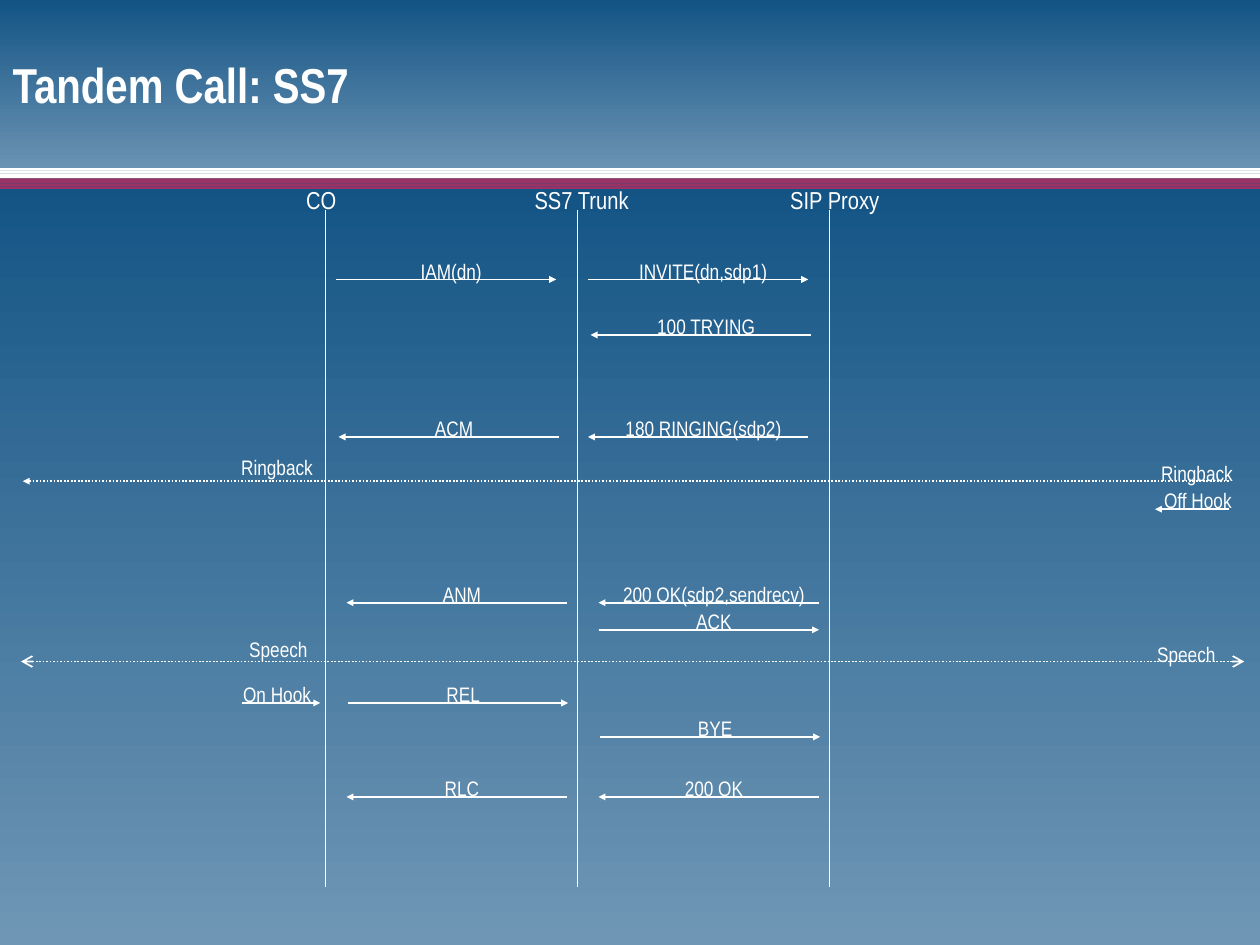
from dataclasses import dataclass

from lxml import etree
from pptx import Presentation
from pptx.dml.color import RGBColor
from pptx.enum.dml import MSO_LINE
from pptx.enum.shapes import MSO_CONNECTOR, MSO_SHAPE
from pptx.enum.text import MSO_ANCHOR, MSO_AUTO_SIZE, PP_ALIGN
from pptx.oxml.ns import qn
from pptx.util import Pt

STRAIGHT = MSO_CONNECTOR.STRAIGHT
RECTANGLE = MSO_SHAPE.RECTANGLE
DOTTED = MSO_LINE.ROUND_DOT
MIDDLE = MSO_ANCHOR.MIDDLE
CENTER, LEFT = PP_ALIGN.CENTER, PP_ALIGN.LEFT
FIT_SHAPE, FIXED = MSO_AUTO_SIZE.SHAPE_TO_FIT_TEXT, MSO_AUTO_SIZE.NONE

SLIDE_WIDTH, SLIDE_HEIGHT = 720, 540
BANNER_HEIGHT = 102
STRIPE_HEIGHT = 1.5
STRIPES_PER_COLOR = 4
LABEL_HEIGHT = 21.6
MESSAGE_WIDTH = 144
ARROW_INSET, ARROW_DROP, ARROW_LENGTH = 6, 15.7, 126
HEAD_SIZES = {"triangle": "sm", "arrow": "med"}


@dataclass(frozen=True)
class Theme:
    """Colours, font and type sizes of the slide."""
    background: RGBColor = RGBColor.from_string("969696")
    gradient_top: RGBColor = RGBColor.from_string("135485")
    gradient_bottom: RGBColor = RGBColor.from_string("6F96B5")
    accent: RGBColor = RGBColor.from_string("993366")
    foreground: RGBColor = RGBColor.from_string("FFFFFF")
    font: str = "Arial Narrow"
    title_size: int = 28
    heading_size: int = 14
    label_size: int = 12


class CallFlow:
    """Draws the elements of a call flow on one slide."""

    def __init__(self, slide, theme):
        self.slide = slide
        self.theme = theme
        fill = slide.background.fill
        fill.solid()
        fill.fore_color.rgb = theme.background

    def style_text(self, paragraph, size, bold=False, alignment=CENTER):
        paragraph.alignment = alignment
        font = paragraph.font
        font.name = self.theme.font
        font.size = Pt(size)
        font.bold = bold
        font.color.rgb = self.theme.foreground

    def title(self, text, left, top, width, height):
        shape = self.slide.shapes.title
        shape.left, shape.top = Pt(left), Pt(top)
        shape.width, shape.height = Pt(width), Pt(height)
        frame = shape.text_frame
        frame.text = text
        frame.auto_size = FIXED
        frame.vertical_anchor = MIDDLE
        self.style_text(frame.paragraphs[0], self.theme.title_size, True, LEFT)
        shape.element.getparent().append(shape.element)

    def band(self, top, height, color=None):
        shape = self.slide.shapes.add_shape(RECTANGLE, 0, Pt(top), Pt(SLIDE_WIDTH), Pt(height))
        shape.shadow.inherit = False
        shape.line.fill.background()
        if color is not None:
            shape.fill.solid()
            shape.fill.fore_color.rgb = color
            return
        shape.fill.gradient()
        shape.fill.gradient_angle = 270
        first, last = shape.fill.gradient_stops
        first.position, last.position = 0, 1
        first.color.rgb = self.theme.gradient_top
        last.color.rgb = self.theme.gradient_bottom

    def label(self, text, left, top, width, height=LABEL_HEIGHT, size=None, wrap=False):
        box = self.slide.shapes.add_textbox(Pt(left), Pt(top), Pt(width), Pt(height))
        frame = box.text_frame
        frame.text = text
        frame.word_wrap = wrap
        frame.auto_size = FIT_SHAPE
        frame.vertical_anchor = MIDDLE
        self.style_text(frame.paragraphs[0], size or self.theme.label_size)

    def line(self, start_x, start_y, end_x, end_y, head=None, tail=None, dash=None):
        connector = self.slide.shapes.add_connector(
            STRAIGHT, Pt(start_x), Pt(start_y), Pt(end_x), Pt(end_y))
        connector.line.color.rgb = self.theme.foreground
        connector.line.width = Pt(1)
        if dash is not None:
            connector.line.dash_style = dash
        properties = connector.element.spPr
        outline = properties.find(qn("a:ln"))
        for tag, kind in (("a:headEnd", head), ("a:tailEnd", tail)):
            if kind:
                size = HEAD_SIZES[kind]
                etree.SubElement(outline, qn(tag), type=kind, w=size, len=size)
        etree.SubElement(properties, qn("a:effectLst"))

    def message(self, text, left, top, rightward):
        self.label(text, left, top, MESSAGE_WIDTH, wrap=True)
        arrow_left, arrow_y = left + ARROW_INSET, top + ARROW_DROP
        end = {"tail" if rightward else "head": "triangle"}
        self.line(arrow_left, arrow_y, arrow_left + ARROW_LENGTH, arrow_y, **end)


PARTICIPANTS = [("CO", 183.6, 34, 186), ("SS7 Trunk", 332.4, 72, 330),
                ("SIP Proxy", 477, 70, 474)]

MESSAGES = [
    ("IAM(dn)", 185.8, 144, True),
    ("INVITE(dn,sdp1)", 329.8, 144, True),
    ("100 TRYING", 331.5, 175.7, False),
    ("ACM", 187.5, 234, False),
    ("180 RINGING(sdp2)", 330, 234, False),
    ("ANM", 192, 328.7, False),
    ("200 OK(sdp2,sendrecv)", 336, 328.7, False),
    ("ACK", 336, 344.2, True),
    ("REL", 192.7, 386, True),
    ("BYE", 336.7, 405.4, True),
    ("RLC", 192, 439.7, False),
    ("200 OK", 336, 439.7, False),
]

ENDPOINT_LABELS = [
    ("Ringback", 128.3, 256.2, 60),
    ("Ringback", 648, 259.3, 72),
    ("Off Hook", 656, 275, 57),
    ("Speech", 132.1, 360.2, 54),
    ("Speech", 650.9, 363.1, 54),
    ("On Hook", 129.8, 386, 57),
]


def main():
    """Build the call flow slide and save it."""
    presentation = Presentation()
    presentation.slide_width, presentation.slide_height = Pt(SLIDE_WIDTH), Pt(SLIDE_HEIGHT)
    theme = Theme()
    flow = CallFlow(presentation.slides.add_slide(presentation.slide_layouts[5]), theme)

    flow.band(BANNER_HEIGHT, SLIDE_HEIGHT - BANNER_HEIGHT)
    flow.band(0, BANNER_HEIGHT)
    stripe_top = BANNER_HEIGHT - STRIPES_PER_COLOR * STRIPE_HEIGHT
    stripe_colors = [theme.foreground] * STRIPES_PER_COLOR + [theme.accent] * STRIPES_PER_COLOR
    for index, color in enumerate(stripe_colors):
        flow.band(stripe_top + index * STRIPE_HEIGHT, STRIPE_HEIGHT, color)
    flow.title("Tandem Call: SS7", 0, 6, 486, 84)

    for name, center, width, lifeline_x in PARTICIPANTS:
        flow.line(lifeline_x, 120, lifeline_x, 507)
        flow.label(name, center - width / 2, 101.9, width, 24.5, theme.heading_size)
    for message in MESSAGES:
        flow.message(*message)

    flow.line(13, 275, 702, 275, head="triangle", dash=DOTTED)
    flow.line(660, 291, 702, 291, head="triangle")
    flow.line(12, 378, 711, 378, head="arrow", tail="arrow", dash=DOTTED)
    flow.line(138.5, 401.7, 183, 401.7, tail="triangle")
    for endpoint_label in ENDPOINT_LABELS:
        flow.label(*endpoint_label)

    presentation.save("out.pptx")


if __name__ == "__main__":
    main()
